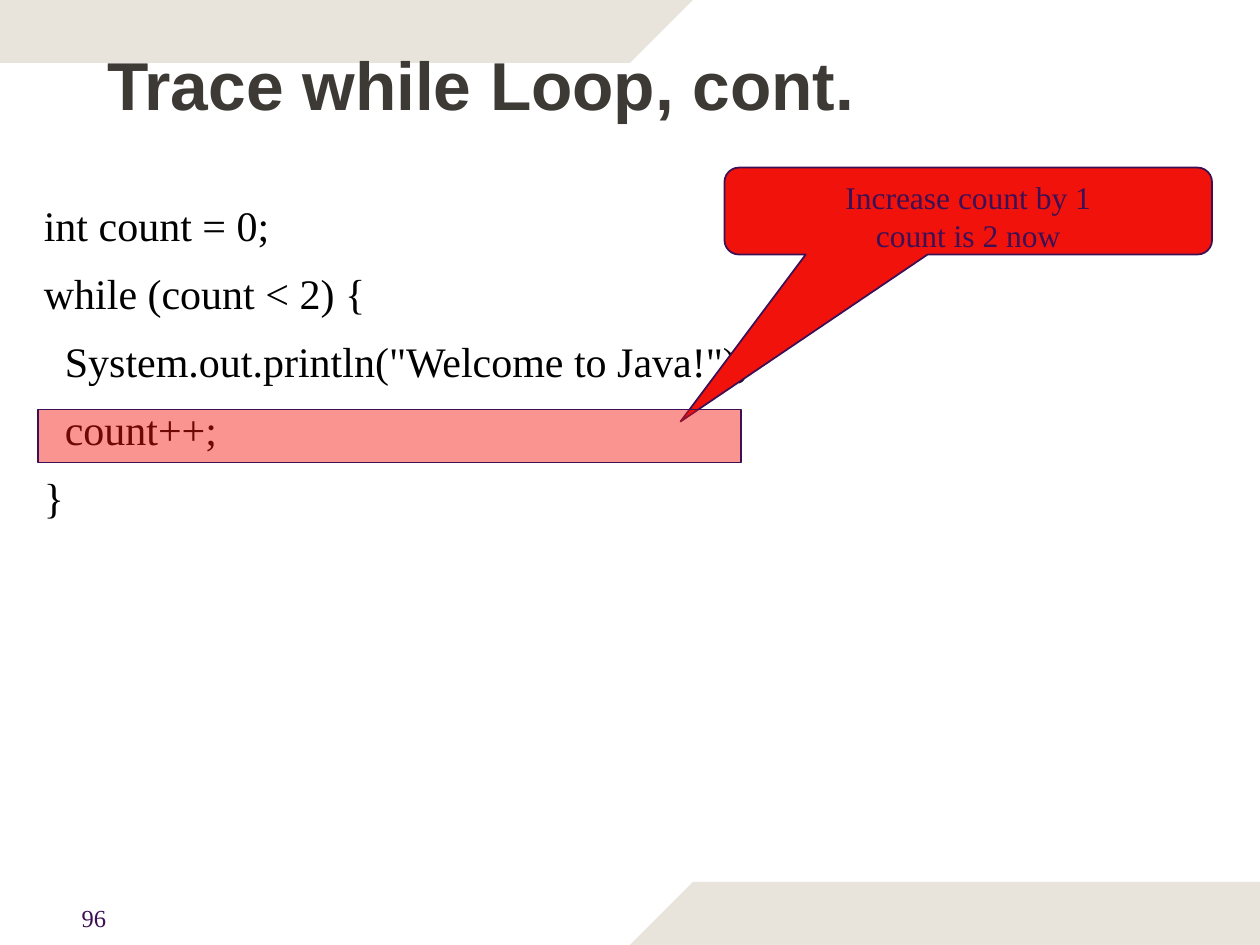
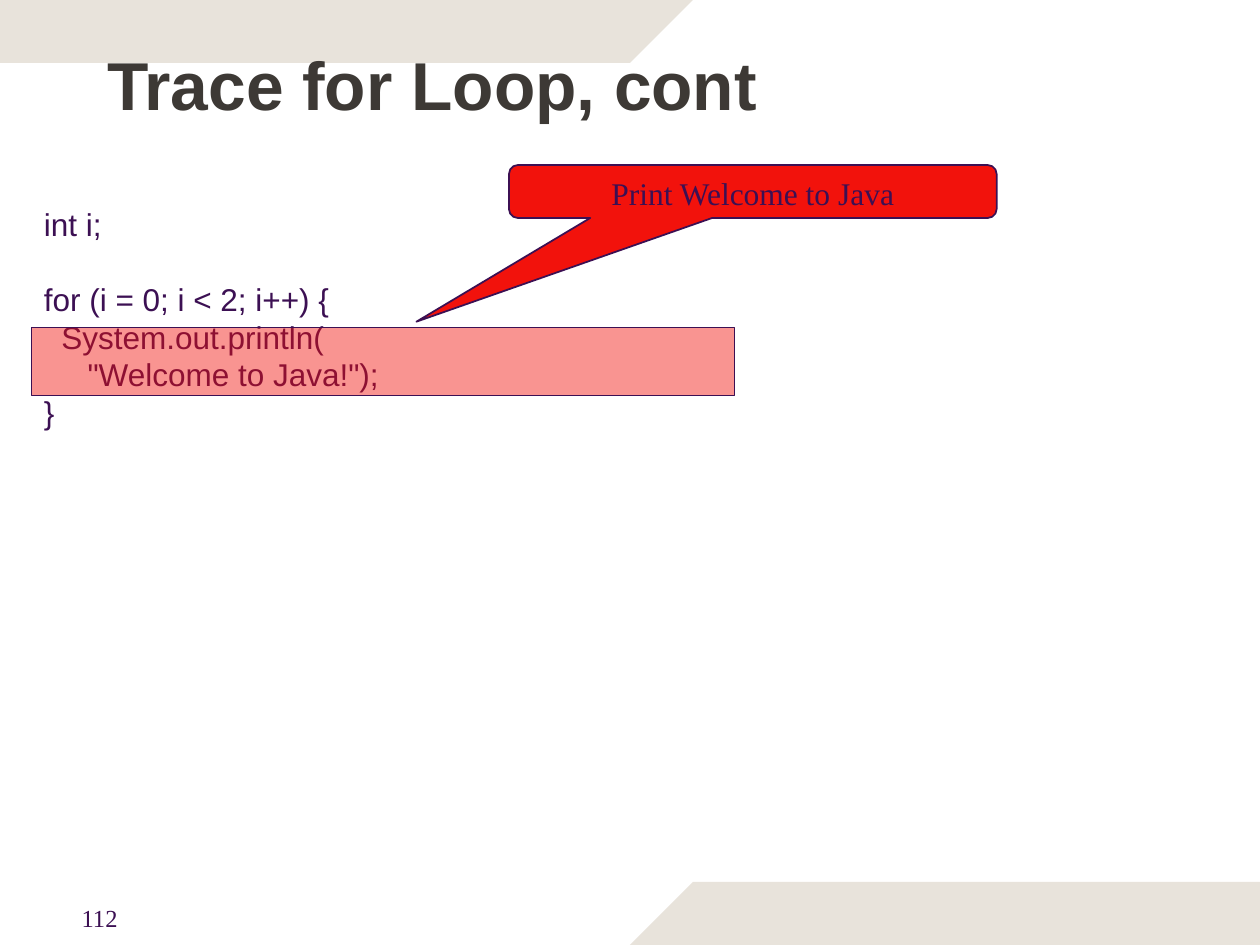
from lxml import etree
from pptx import Presentation
from pptx.dml.color import RGBColor
from pptx.enum.shapes import MSO_SHAPE
from pptx.enum.text import MSO_ANCHOR, PP_ALIGN
from pptx.oxml.ns import qn
from pptx.util import Inches, Pt

SLIDE_WIDTH, SLIDE_HEIGHT = 10, 7.5
BAND_HEIGHT = 0.5
CODE_LEFT, CODE_TOP, CODE_WIDTH = 0.25, 1.58, 5.83
HIGHLIGHT_WIDTH = 5.58
CALLOUT_WIDTH = 3.87

BAND, TITLE, PURPLE, RED, BLACK = "E8E3DB", "3D3935", "3C1053", "F2120C", "000000"
SANS, SERIF = "Arial", "Times New Roman"


def color(hex_value):
    return RGBColor.from_string(hex_value)


def set_font(paragraph, name, size, hex_value, bold=False):
    font = paragraph.font
    font.name, font.size, font.bold = name, Pt(size), bold
    font.color.rgb = color(hex_value)


def style_shape(shape, fill, line=None):
    shape.shadow.inherit = False
    shape.fill.solid()
    shape.fill.fore_color.rgb = color(fill)
    if line:
        shape.line.color.rgb = color(line)
        shape.line.width = Pt(1)
    else:
        shape.line.fill.background()


def add_band(slide, layout, corners):
    """Draw a slanted band and keep it on the shared layout, behind the text."""
    points = [(Inches(x), Inches(y)) for x, y in corners]
    builder = slide.shapes.build_freeform(*points[0])
    builder.add_line_segments(points[1:], close=True)
    band = builder.convert_to_shape()
    style_shape(band, BAND)
    layout.shapes.element.insert(2, band.element)


def add_bands(slide, layout):
    middle = SLIDE_WIDTH / 2
    slant = middle + BAND_HEIGHT
    lower = SLIDE_HEIGHT - BAND_HEIGHT
    add_band(slide, layout, [(0, 0), (slant, 0), (middle, BAND_HEIGHT), (0, BAND_HEIGHT)])
    add_band(slide, layout, [(SLIDE_WIDTH, SLIDE_HEIGHT), (middle, SLIDE_HEIGHT),
                             (slant, lower), (SLIDE_WIDTH, lower)])


def set_title(slide, text):
    title = slide.shapes.title
    title.left, title.top = Inches(0.75), Inches(0.25)
    title.width, title.height = Inches(8.5), Inches(0.83)
    frame = title.text_frame
    frame.text = text
    frame.vertical_anchor = MSO_ANCHOR.MIDDLE
    frame.paragraphs[0].alignment = PP_ALIGN.LEFT
    set_font(frame.paragraphs[0], SANS, 38.7, TITLE, bold=True)


def add_text(slide, left, top, width, height, lines, font, gaps=None, spacing=None):
    """Write one paragraph per line; gaps maps a line index to its space before."""
    box = slide.shapes.add_textbox(Inches(left), Inches(top), Inches(width), Inches(height))
    frame = box.text_frame
    frame.word_wrap = True
    frame.text = "\n".join(lines)
    for index, paragraph in enumerate(frame.paragraphs):
        paragraph.space_before = Pt((gaps or {}).get(index, 0))
        if spacing:
            paragraph.line_spacing = spacing
        set_font(paragraph, *font)


def add_callout(slide, left, top, height, pointer, lines):
    callout = slide.shapes.add_shape(MSO_SHAPE.ROUNDED_RECTANGULAR_CALLOUT, Inches(left),
                                     Inches(top), Inches(CALLOUT_WIDTH), Inches(height))
    callout.adjustments[0], callout.adjustments[1] = pointer
    style_shape(callout, RED, PURPLE)
    frame = callout.text_frame
    frame.vertical_anchor = MSO_ANCHOR.TOP
    frame.text = "\n".join(lines)
    for paragraph in frame.paragraphs:
        paragraph.alignment = PP_ALIGN.CENTER
        set_font(paragraph, SERIF, 18, PURPLE)


def add_highlight(slide, left, top, height):
    highlight = slide.shapes.add_shape(MSO_SHAPE.RECTANGLE, Inches(left), Inches(top),
                                       Inches(HIGHLIGHT_WIDTH), Inches(height))
    style_shape(highlight, RED, PURPLE)
    fill_color = highlight.element.spPr.find(qn("a:solidFill"))[0]
    etree.SubElement(fill_color, qn("a:alpha")).set("val", "45000")


def add_trace_slide(prs, layout, title, number):
    slide = prs.slides.add_slide(layout)
    set_title(slide, title)
    add_text(slide, 0.55, 7.12, 0.6, 0.27, [number], (SERIF, 14, PURPLE))
    return slide


def main():
    prs = Presentation()
    prs.slide_width, prs.slide_height = Inches(SLIDE_WIDTH), Inches(SLIDE_HEIGHT)
    layout = prs.slide_layouts.get_by_name("Title Only")

    # While loop: the counter is increased
    while_slide = add_trace_slide(prs, layout, "Trace while Loop, cont.", "96")
    add_bands(while_slide, layout)
    while_code = ["int count = 0;", "while (count < 2) {",
                  '  System.out.println("Welcome to Java!");', "  count++;", "}"]
    add_text(while_slide, CODE_LEFT, CODE_TOP, CODE_WIDTH, 2.73, while_code,
             (SERIF, 24, BLACK), {line: 13 for line in range(1, len(while_code))}, 0.9)
    add_callout(while_slide, 5.75, 1.33, 0.69, (-0.59, 2.42),
                ["Increase count by 1", "count is 2 now"])
    add_highlight(while_slide, 0.3, 3.25, 0.42)

    # For loop: the message is printed
    for_slide = add_trace_slide(prs, layout, "Trace for Loop, cont", "112")
    for_code = ["int i;", "for (i = 0; i < 2; i++) {", "  System.out.println(",
                '     "Welcome to Java!");', "}"]
    add_text(for_slide, CODE_LEFT, CODE_TOP, CODE_WIDTH, 1.92, for_code,
             (SANS, 18, PURPLE), {1: 21})
    add_callout(for_slide, 4.04, 1.31, 0.42, (-0.69, 2.46), ["Print Welcome to Java"])
    add_highlight(for_slide, 0.25, 2.6, 0.54)

    prs.save("out.pptx")


if __name__ == "__main__":
    main()
